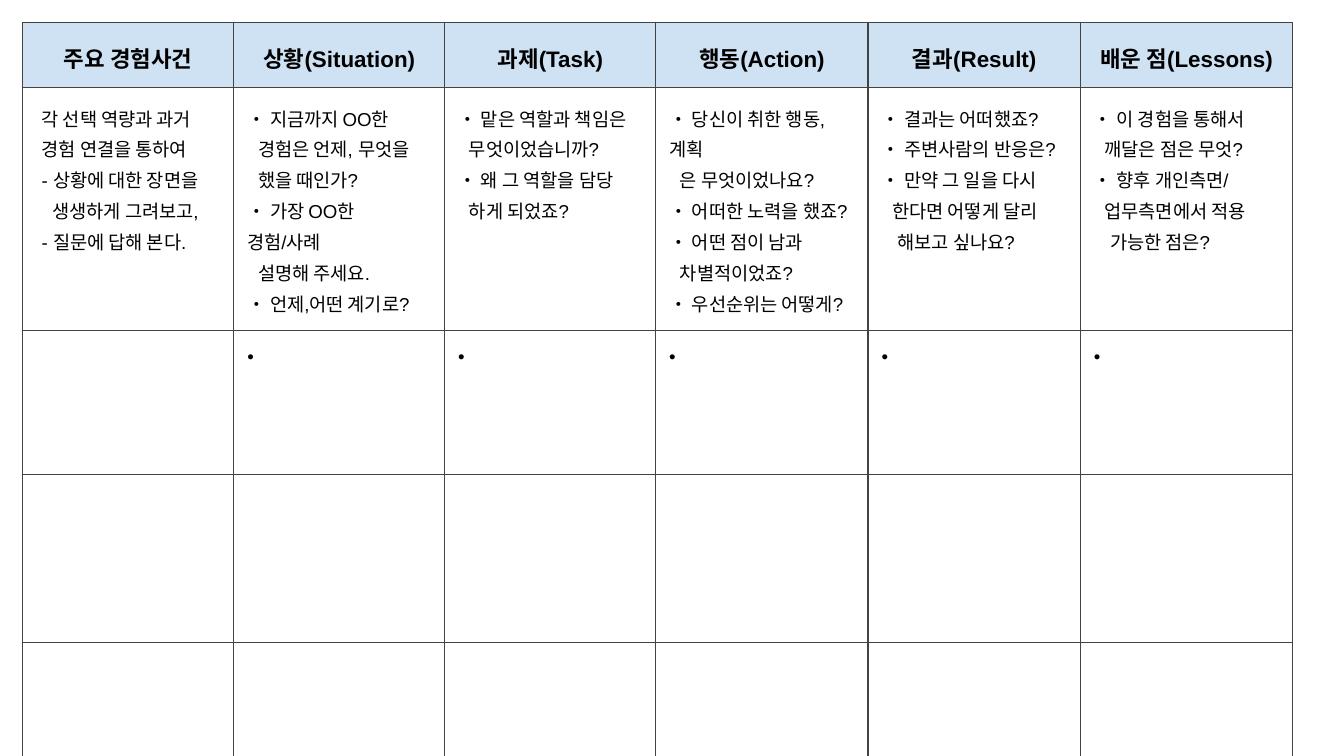
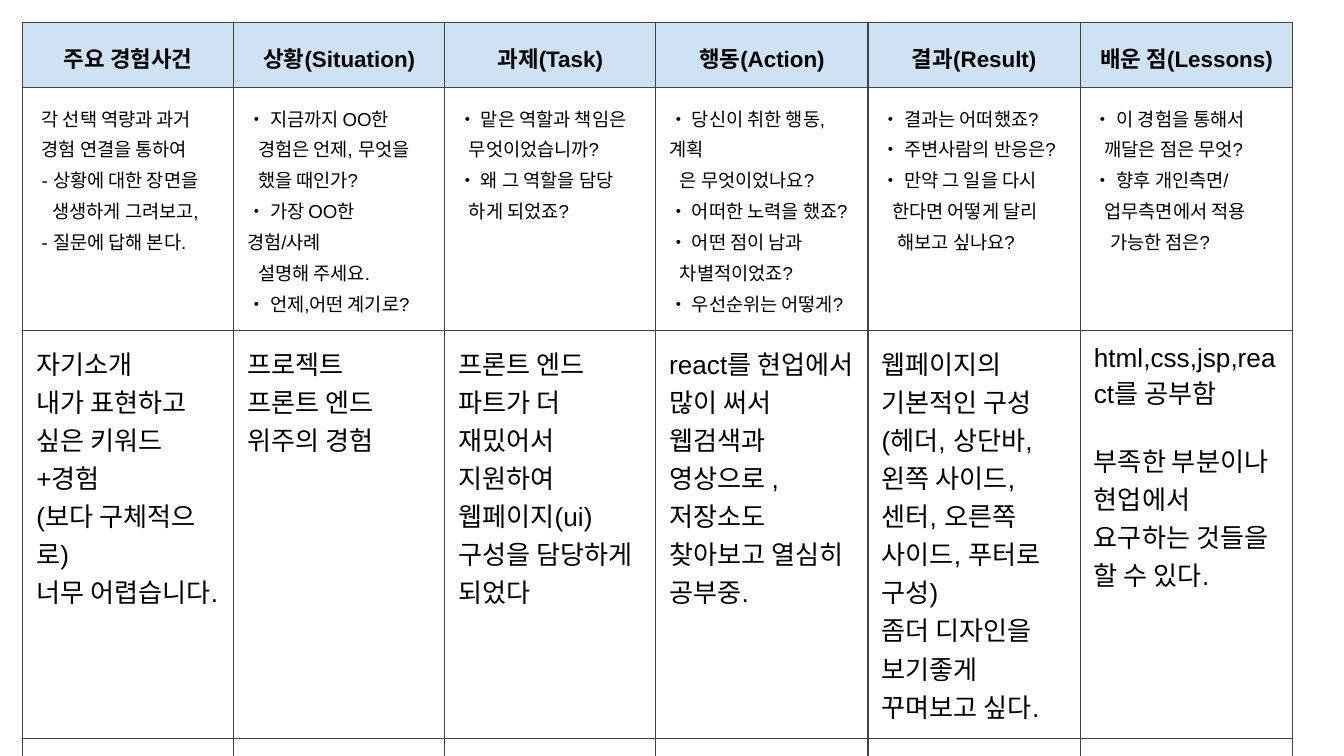
from typing import NamedTuple

from lxml import etree
from pptx import Presentation
from pptx import util as u
from pptx.dml.color import RGBColor
from pptx.enum import text
from pptx.oxml import ns

SLIDE_WIDTH = u.Inches(10)
SLIDE_HEIGHT = SLIDE_WIDTH * 9 // 16
FONT = "Arial"
TEXT_COLOUR = "000000"
BORDER_COLOUR = "434343"
HEADER_FILL = "CFE2F3"
BORDER_WIDTH = u.Pt(0.75)
CELL_MARGIN = u.Inches(0.1)
TABLE_LEFT = TABLE_TOP = u.Inches(0.17)
COLUMN_WIDTHS = [u.Inches(width) for width in [1.57] * 3 + [1.58] * 3]
ROW_HEIGHTS = [u.Inches(height) for height in (0.34, 1.32, 1.07, 1.25, 0.96)]


class Line(NamedTuple):
    """One paragraph; indent is in inches, space_before in points."""
    text: str
    indent: float = 0
    space_before: float = 0


class RowStyle(NamedTuple):
    size: float
    bold: bool = False
    spacing: float | None = None
    align: text.PP_ALIGN = text.PP_ALIGN.LEFT
    fill: str = ""


Cell = list[Line]


class Row(NamedTuple):
    style: RowStyle
    cells: list[Cell]


HEADER = RowStyle(12, True, 1.15, text.PP_ALIGN.CENTER, HEADER_FILL)
GUIDE = RowStyle(10, spacing=1.15)
ANSWER = RowStyle(14)


def intro(wording: str) -> Line:
    return Line(wording, 0.04)


def more(wording: str, indent: float = 0.08) -> Line:
    """Continue the point above, in line with its text."""
    return Line(wording, indent)


HEADER_ROW = Row(HEADER, [[Line(title)] for title in (
    "주요 경험사건", "상황(Situation)", "과제(Task)",
    "행동(Action)", "결과(Result)", "배운 점(Lessons)")])

GUIDE_ROW = Row(GUIDE, [
    [intro("각 선택 역량과 과거"), intro("경험 연결을 통하여"),
     intro("- 상황에 대한 장면을"), more("생생하게 그려보고,", 0.12),
     intro("- 질문에 답해 본다.")],
    [Line("• 지금까지 OO한"), more("경험은 언제, 무엇을"),
     more("했을 때인가?"), Line("• 가장 OO한 경험/사례"),
     more("설명해 주세요."), Line("• 언제,어떤 계기로?")],
    [Line("• 맡은 역할과 책임은"), more("무엇이었습니까?"),
     Line("• 왜 그 역할을 담당"), more("하게 되었죠?")],
    [Line("• 당신이 취한 행동,계획"), more("은 무엇이었나요?"),
     Line("• 어떠한 노력을 했죠?"), Line("• 어떤 점이 남과"),
     more("차별적이었죠?"), Line("• 우선순위는 어떻게?")],
    [Line("• 결과는 어떠했죠?"), Line("• 주변사람의 반응은?"),
     Line("• 만약 그 일을 다시"), more("한다면 어떻게 달리"),
     more("해보고 싶나요?", 0.12)],
    [Line("• 이 경험을 통해서"), more("깨달은 점은 무엇?"),
     Line("• 향후 개인측면/"), more("업무측면에서 적용"),
     more("가능한 점은?", 0.12)],
])

BLANK_ANSWER_ROW = Row(GUIDE, [[]] + [[Line("•")]] * 5)

ANSWER_ROW = Row(ANSWER, [
    [Line("자기소개"), Line("내가 표현하고 싶은 키워드+경험"),
     Line("(보다 구체적으로)"), Line("너무 어렵습니다.")],
    [Line("프로젝트"), Line("프론트 엔드 위주의 경험")],
    [Line("프론트 엔드 파트가 더 재밌어서"),
     Line("지원하여 웹페이지(ui) 구성을 담당하게 되었다")],
    [Line("react를 현업에서 많이 써서 웹검색과 영상으로 ,"
          "저장소도 찾아보고 열심히 공부중.")],
    [Line("웹페이지의 기본적인 구성"),
     Line("(헤더, 상단바, 왼쪽 사이드, 센터, 오른쪽 사이드, 푸터로 구성)"),
     Line("좀더 디자인을 보기좋게 꾸며보고 싶다.")],
    [Line("html,css,jsp,react를 공부함"),
     Line("부족한 부분이나 현업에서 요구하는 것들을 할 수 있다.",
          space_before=16)],
])

EMPTY_ROW = Row(ANSWER, [[]] * len(COLUMN_WIDTHS))


def colour(value: str) -> RGBColor:
    return RGBColor.from_string(value)


def add_borders(cell) -> None:
    properties = cell._tc.get_or_add_tcPr()
    for position, side in enumerate(("lnL", "lnR", "lnT", "lnB")):
        border = etree.Element(ns.qn(f"a:{side}"), w=str(int(BORDER_WIDTH)))
        fill = etree.SubElement(border, ns.qn("a:solidFill"))
        etree.SubElement(fill, ns.qn("a:srgbClr"), val=BORDER_COLOUR)
        properties.insert(position, border)


def format_paragraph(paragraph, line: Line, style: RowStyle) -> None:
    paragraph.text = line.text
    paragraph.alignment = style.align
    if style.spacing:
        paragraph.line_spacing = style.spacing
    if line.space_before:
        paragraph.space_before = u.Pt(line.space_before)
    properties = paragraph._p.get_or_add_pPr()
    properties.set("marL", str(int(u.Inches(line.indent))))
    properties.set("indent", "0")
    properties.set("hangingPunct", "0")
    for run in paragraph.runs:
        run.font.name = FONT
        run.font.size = u.Pt(style.size)
        run.font.bold = style.bold
        run.font.color.rgb = colour(TEXT_COLOUR)


def fill_cell(cell, lines: Cell, style: RowStyle) -> None:
    cell.margin_left = cell.margin_right = CELL_MARGIN
    cell.margin_top = cell.margin_bottom = CELL_MARGIN
    if style.fill:
        cell.fill.solid()
        cell.fill.fore_color.rgb = colour(style.fill)
    else:
        cell.fill.background()
    add_borders(cell)
    frame = cell.text_frame
    for index, line in enumerate(lines):
        paragraph = frame.add_paragraph() if index else frame.paragraphs[0]
        format_paragraph(paragraph, line, style)


def add_experience_slide(presentation, answers: Row) -> None:
    slide = presentation.slides.add_slide(presentation.slide_layouts[6])
    rows = [HEADER_ROW, GUIDE_ROW, answers, EMPTY_ROW, EMPTY_ROW]
    table = slide.shapes.add_table(
        len(rows), len(COLUMN_WIDTHS), TABLE_LEFT, TABLE_TOP,
        sum(COLUMN_WIDTHS), sum(ROW_HEIGHTS)).table
    table.first_row = table.horz_banding = False
    for column, width in zip(table.columns, COLUMN_WIDTHS):
        column.width = width
    for table_row, height, row in zip(table.rows, ROW_HEIGHTS, rows):
        table_row.height = height
        for cell, lines in zip(table_row.cells, row.cells):
            fill_cell(cell, lines, row.style)


def main() -> None:
    presentation = Presentation()
    presentation.slide_width = SLIDE_WIDTH
    presentation.slide_height = SLIDE_HEIGHT
    for answers in (BLANK_ANSWER_ROW, ANSWER_ROW):
        add_experience_slide(presentation, answers)
    presentation.save("out.pptx")


if __name__ == "__main__":
    main()
